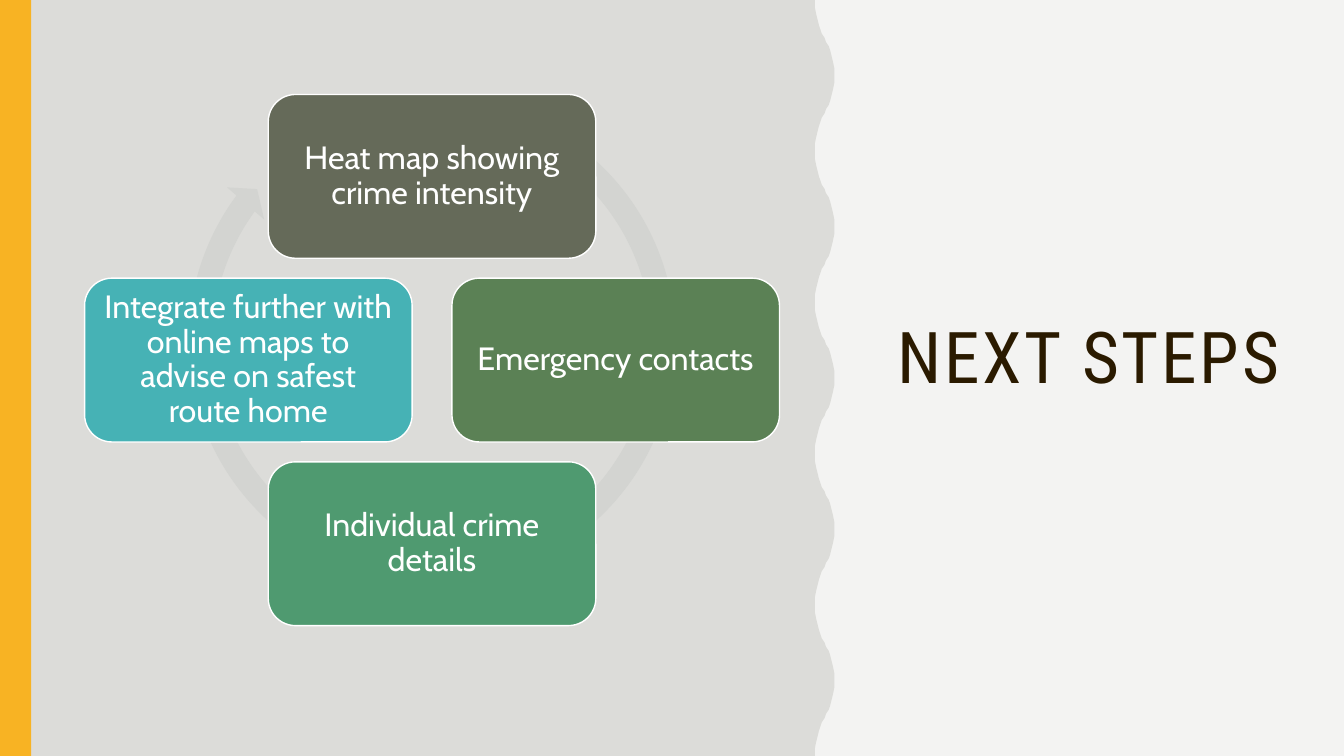
from dataclasses import dataclass

from lxml import etree
from pptx import Presentation
from pptx.dml.color import RGBColor
from pptx.enum.shapes import MSO_SHAPE
from pptx.enum.text import MSO_ANCHOR, MSO_AUTO_SIZE, PP_ALIGN
from pptx.oxml.ns import qn
from pptx.shapes.autoshape import Shape
from pptx.slide import Slide
from pptx.text.text import TextFrame
from pptx.util import Pt

RECTANGLE = MSO_SHAPE.RECTANGLE
ROUNDED = MSO_SHAPE.ROUNDED_RECTANGLE
CIRCULAR_ARROW = MSO_SHAPE.CIRCULAR_ARROW
MIDDLE = MSO_ANCHOR.MIDDLE
NO_AUTOFIT = MSO_AUTO_SIZE.NONE
LEFT = PP_ALIGN.LEFT
CENTER = PP_ALIGN.CENTER

COLORS = {
    "background": "F3F3F2",
    "panel": "DCDCD9",
    "stripe": "F8B323",
    "title": "2A1A00",
    "cycle": "D3D4D1",
    "white": "FFFFFF",
    "heat_map": "656A59",
    "contacts": "5B8155",
    "details": "4F9A70",
    "route": "46B2B5",
}

SLIDE_WIDTH, SLIDE_HEIGHT = 960, 540
PANEL_EDGE = 581.7
WAVE_COUNT = 5
WAVE_DEPTH = 14.4
WAVE_LENGTH = SLIDE_HEIGHT / WAVE_COUNT
WAVE_QUARTER = [(0, 0), (0.4, 5), (1.1, 10), (2, 14), (3, 18), (4.3, 21), (5.7, 24), (7.2, 27)]

CENTER_X, CENTER_Y = 308.6, 257.2
STEP_OFFSET = 131.2
STEP_WIDTH, STEP_HEIGHT = 234, 117
CYCLE_SIZE = 365.8
CYCLE_TOP = 60.5
CYCLE_ADJUSTMENTS = (0.047, 2.729, 129.824, 179.287, 0.048)


@dataclass(frozen=True)
class Step:
    text: str
    color: str
    column: int
    row: int


STEPS = [
    Step("Heat map showing crime intensity", "heat_map", 0, -1),
    Step("Emergency contacts", "contacts", 1, 0),
    Step("Individual crime details", "details", 0, 1),
    Step("Integrate further with online maps to advise on safest route home", "route", -1, 0),
]


def rgb(name: str) -> RGBColor:
    return RGBColor.from_string(COLORS[name])


def paint(shape: Shape, color: str) -> None:
    shape.shadow.inherit = False
    shape.fill.solid()
    shape.fill.fore_color.rgb = rgb(color)
    shape.line.fill.background()


def add_block(slide: Slide, kind: MSO_SHAPE, left: float, top: float,
              width: float, height: float, color: str) -> Shape:
    block = slide.shapes.add_shape(kind, Pt(left), Pt(top), Pt(width), Pt(height))
    paint(block, color)
    return block


def write(frame: TextFrame, text: str, font: str, size: float,
          color: str, alignment: PP_ALIGN) -> None:
    frame.text = text
    frame.word_wrap = True
    frame.auto_size = NO_AUTOFIT
    frame.vertical_anchor = MIDDLE
    paragraph = frame.paragraphs[0]
    paragraph.alignment = alignment
    paragraph.line_spacing = 0.9
    run_font = paragraph.runs[0].font
    run_font.name = font
    run_font.size = Pt(size)
    run_font.color.rgb = rgb(color)


def wave_points() -> list[tuple[float, float]]:
    half = WAVE_LENGTH / 2
    outward = WAVE_QUARTER + [(WAVE_DEPTH - x, half - y) for x, y in reversed(WAVE_QUARTER[:-1])]
    wave = outward + [(x, WAVE_LENGTH - y) for x, y in reversed(outward[:-1])]
    return [(PANEL_EDGE + x, index * WAVE_LENGTH + y)
            for index in range(WAVE_COUNT) for x, y in wave]


def add_panel(slide: Slide) -> None:
    builder = slide.shapes.build_freeform(0, 0, scale=Pt(1))
    builder.add_line_segments(wave_points() + [(0, SLIDE_HEIGHT)], close=True)
    paint(builder.convert_to_shape(), "panel")


def add_title(slide: Slide) -> None:
    title = slide.shapes.title
    title.left, title.top, title.width, title.height = Pt(633.6), Pt(38.2), Pt(288), Pt(438.8)
    write(title.text_frame, "NEXT STEPS", "Roboto Condensed", 51, "title", LEFT)
    properties: etree.ElementBase = title.text_frame.paragraphs[0].runs[0]._r.find(qn("a:rPr"))
    properties.set("spc", "200")


def add_cycle(slide: Slide) -> None:
    cycle = add_block(slide, CIRCULAR_ARROW, CENTER_X - CYCLE_SIZE / 2, CYCLE_TOP,
                      CYCLE_SIZE, CYCLE_SIZE, "cycle")
    for index, value in enumerate(CYCLE_ADJUSTMENTS):
        cycle.adjustments[index] = value


def add_step(slide: Slide, step: Step) -> None:
    left = CENTER_X + step.column * STEP_OFFSET - STEP_WIDTH / 2
    top = CENTER_Y + step.row * STEP_OFFSET - STEP_HEIGHT / 2
    box = add_block(slide, ROUNDED, left, top, STEP_WIDTH, STEP_HEIGHT, step.color)
    box.line.color.rgb = rgb("white")
    box.line.width = Pt(1)
    frame = box.text_frame
    frame.margin_left = frame.margin_right = Pt(7)
    frame.margin_top = frame.margin_bottom = Pt(7)
    write(frame, step.text, "Cabin", 23, "white", CENTER)


def main() -> None:
    deck = Presentation()
    deck.slide_width, deck.slide_height = Pt(SLIDE_WIDTH), Pt(SLIDE_HEIGHT)
    slide = deck.slides.add_slide(deck.slide_layouts[5])
    slide.background.fill.solid()
    slide.background.fill.fore_color.rgb = rgb("background")
    add_title(slide)
    add_panel(slide)
    add_block(slide, RECTANGLE, 0, 0, 22.3, SLIDE_HEIGHT, "stripe")
    add_cycle(slide)
    for step in STEPS:
        add_step(slide, step)
    deck.save("out.pptx")


if __name__ == "__main__":
    main()
